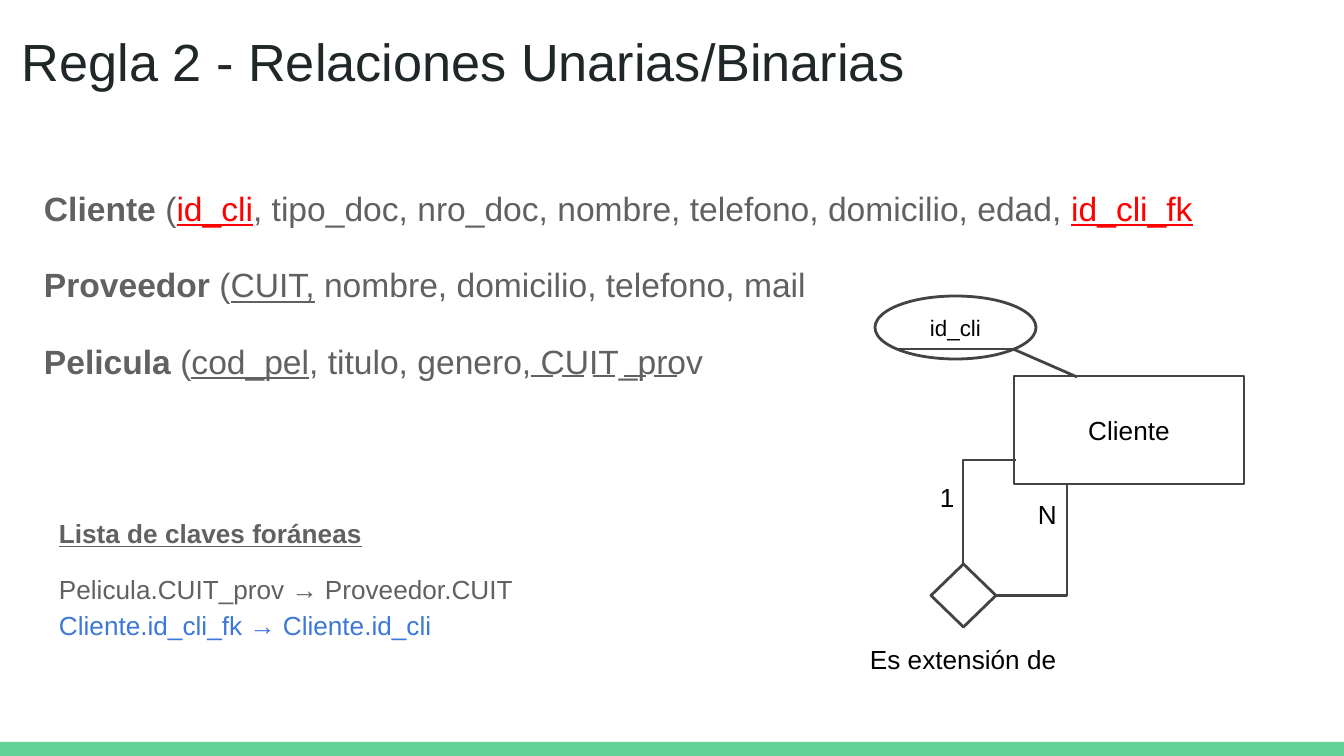
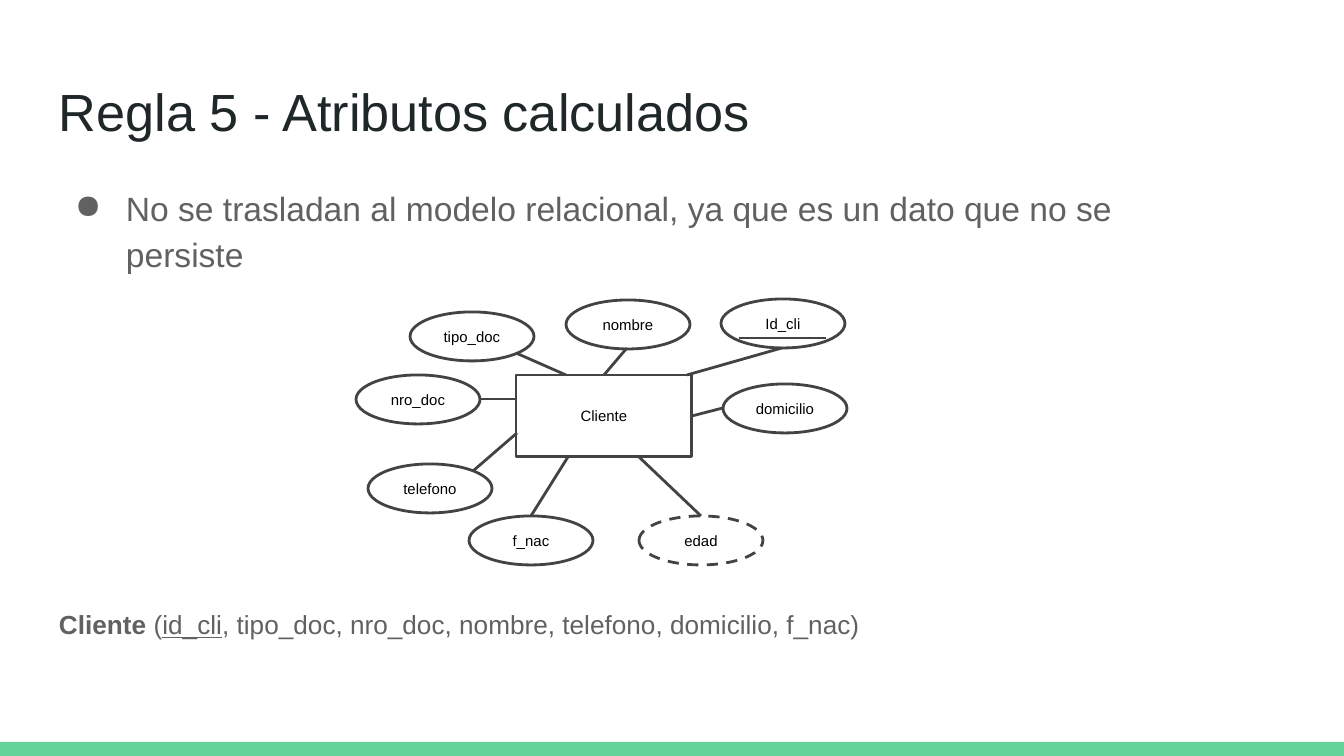
from lxml.etree import SubElement
from pptx import Presentation
from pptx.dml.color import RGBColor
from pptx.enum.dml import MSO_LINE
from pptx.enum.shapes import MSO_CONNECTOR, MSO_SHAPE
from pptx.enum.text import MSO_ANCHOR, PP_ALIGN
from pptx.oxml.ns import qn
from pptx.util import Pt

SCALE = 914400 / 134.4
FONT = "Arial"
BAND, TITLE, BODY, STROKE = "63D297", "202729", "616161", "434343"
BLACK, KEY, FOREIGN = "000000", "FF0000", "3C78D8"


def px(length):
    return round(length * SCALE)


def color(value):
    return RGBColor.from_string(value)


class Slides:
    def __init__(self):
        self.deck = Presentation()
        self.deck.slide_width = px(1344)
        self.deck.slide_height = px(756)
        self.page = None

    def start(self, title, left, top):
        self.page = self.deck.slides.add_slide(self.deck.slide_layouts[6])
        band = self.shape(MSO_SHAPE.RECTANGLE, 0, 742, 1344, 14)
        band.fill.solid()
        band.fill.fore_color.rgb = color(BAND)
        band.line.fill.background()
        self.text(left, top, 1253, 85, [[(title, "")]], 28, TITLE)

    def frame(self, shape, anchor):
        frame = shape.text_frame
        frame.word_wrap = True
        frame.vertical_anchor = anchor
        frame.margin_left = frame.margin_right = px(13)
        frame.margin_top = frame.margin_bottom = px(13)
        return frame

    def style(self, span, size, tint, marks=""):
        span.font.name = FONT
        span.font.size = Pt(size)
        span.font.color.rgb = color(tint)
        span.font.bold = "b" in marks
        span.font.underline = "u" in marks

    def text(self, left, top, width, height, lines, size, tint=BLACK):
        box = self.page.shapes.add_textbox(px(left), px(top), px(width), px(height))
        frame = self.frame(box, MSO_ANCHOR.TOP)
        for index, spans in enumerate(lines):
            para = frame.add_paragraph() if index else frame.paragraphs[0]
            for words, marks, *own in spans:
                if words == "\n":
                    para.add_line_break()
                    continue
                span = para.add_run()
                span.text = words
                self.style(span, size, own[0] if own else tint, marks)
        return frame

    def body(self, left, top, width, lines, size):
        frame = self.text(left, top, width, 74, lines, size, BODY)
        for index, para in enumerate(frame.paragraphs):
            para.line_spacing = 1.15
            if index:
                para.space_before = Pt(16)
        return frame

    def bullet(self, para):
        properties = para._p.get_or_add_pPr()
        properties.set("marL", str(px(67)))
        properties.set("indent", str(px(-51)))
        tint = SubElement(properties, qn("a:buClr"))
        SubElement(tint, qn("a:srgbClr"), val=BODY)
        SubElement(properties, qn("a:buChar"), char="●")

    def shape(self, kind, left, top, width, height, label="", size=14):
        shape = self.page.shapes.add_shape(kind, px(left), px(top), px(width), px(height))
        shape.shadow.inherit = False
        shape.fill.background()
        self.stroke(shape.line)
        if label:
            frame = self.frame(shape, MSO_ANCHOR.MIDDLE)
            frame.text = label
            para = frame.paragraphs[0]
            para.alignment = PP_ALIGN.CENTER
            self.style(para.runs[0], size, BLACK)
        return shape

    def stroke(self, line, tint=STROKE):
        line.color.rgb = color(tint)
        line.width = Pt(1.5)

    def line(self, start, end, tint=STROKE, kind=MSO_CONNECTOR.STRAIGHT):
        points = [px(value) for value in (*start, *end)]
        line = self.page.shapes.add_connector(kind, *points)
        self.stroke(line.line, tint)
        SubElement(line._element.spPr, qn("a:effectLst"))
        return line

    def corner(self, start, end):
        line = self.line(start, end, kind=MSO_CONNECTOR.ELBOW)
        line._element.spPr.find(qn("a:prstGeom")).set("prst", "bentConnector2")


def relations(slides):
    slides.start("Regla 2 - Relaciones Unarias/Binarias", 9, 16)
    slides.body(31, 169, 1293, [
        [("Cliente", "b"), (" (", ""), ("id_cli", "u", KEY),
         (", tipo_doc, nro_doc, nombre, telefono, domicilio, edad, ", ""),
         ("id_cli_fk", "u", KEY)],
        [("Proveedor", "b"), (" (", ""), ("CUIT,", "u"),
         (" nombre, domicilio, telefono, mail", "")],
        [("Pelicula", "b"), (" (", ""), ("cod_pel", "u"),
         (", titulo, genero, CUIT_prov", "")],
    ], 18)
    slides.body(46, 556, 1253, [[
        ("Pelicula.CUIT_prov → Proveedor.CUIT", ""), ("\n", ""),
        ("Cliente.id_cli_fk → Cliente.id_cli", "", FOREIGN),
    ]], 14)
    slides.body(46, 500, 1253, [[("Lista de claves foráneas", "bu")]], 14)
    foreign_key = slides.line((531, 376), (683, 376), BODY)
    foreign_key.line.dash_style = MSO_LINE.LONG_DASH

    slides.shape(MSO_SHAPE.RECTANGLE, 1014, 376, 230, 108, "Cliente")
    slides.shape(MSO_SHAPE.OVAL, 875, 296, 161, 63, "id_cli", 12)
    slides.line((1013, 349), (1077, 377))
    slides.line((897, 349), (1013, 349))
    slides.shape(MSO_SHAPE.FLOWCHART_DECISION, 931, 564, 65, 63)
    slides.corner((1016, 460), (963, 564))
    slides.corner((996, 596), (1067, 485))
    for label, left, top, width in (("N", 1025, 485, 40), ("1", 927, 468, 40),
                                    ("Es extensión de", 857, 630, 222)):
        slides.text(left, top, width, 60, [[(label, "")]], 14)


def calculated(slides):
    slides.start("Regla 5 - Atributos calculados", 46, 66)
    rule = "No se trasladan al modelo relacional, ya que es un dato que no se persiste"
    frame = slides.body(46, 169, 1110, [[(rule, "")]], 18)
    slides.bullet(frame.paragraphs[0])

    slides.shape(MSO_SHAPE.RECTANGLE, 516, 375, 176, 82, "Cliente", 8)
    attributes = (
        ("tipo_doc", 410, 312, (516, 353), (566, 375)),
        ("nro_doc", 356, 375, (480, 399), (517, 399)),
        ("telefono", 368, 464, (473, 471), (517, 433)),
        ("f_nac", 469, 516, (531, 516), (568, 457)),
        ("edad", 639, 516, (701, 516), (639, 457)),
        ("domicilio", 723, 384, (723, 408), (692, 416)),
        ("nombre", 566, 300, (627, 348), (604, 375)),
        ("Id_cli", 721, 299, (782, 348), (687, 375)),
    )
    for name, left, top, start, end in attributes:
        oval = slides.shape(MSO_SHAPE.OVAL, left, top, 124, 49, name, 8)
        if name == "edad":
            oval.line.dash_style = MSO_LINE.DASH
        slides.line(start, end)
    slides.line((739, 338), (826, 338))

    slides.body(46, 591, 1192, [[
        ("Cliente", "b"), (" (", ""), ("id_cli", "u"),
        (", tipo_doc, nro_doc, nombre, telefono, domicilio, f_nac)", ""),
    ]], 14)


def main():
    slides = Slides()
    relations(slides)
    calculated(slides)
    slides.deck.save("out.pptx")


if __name__ == "__main__":
    main()
